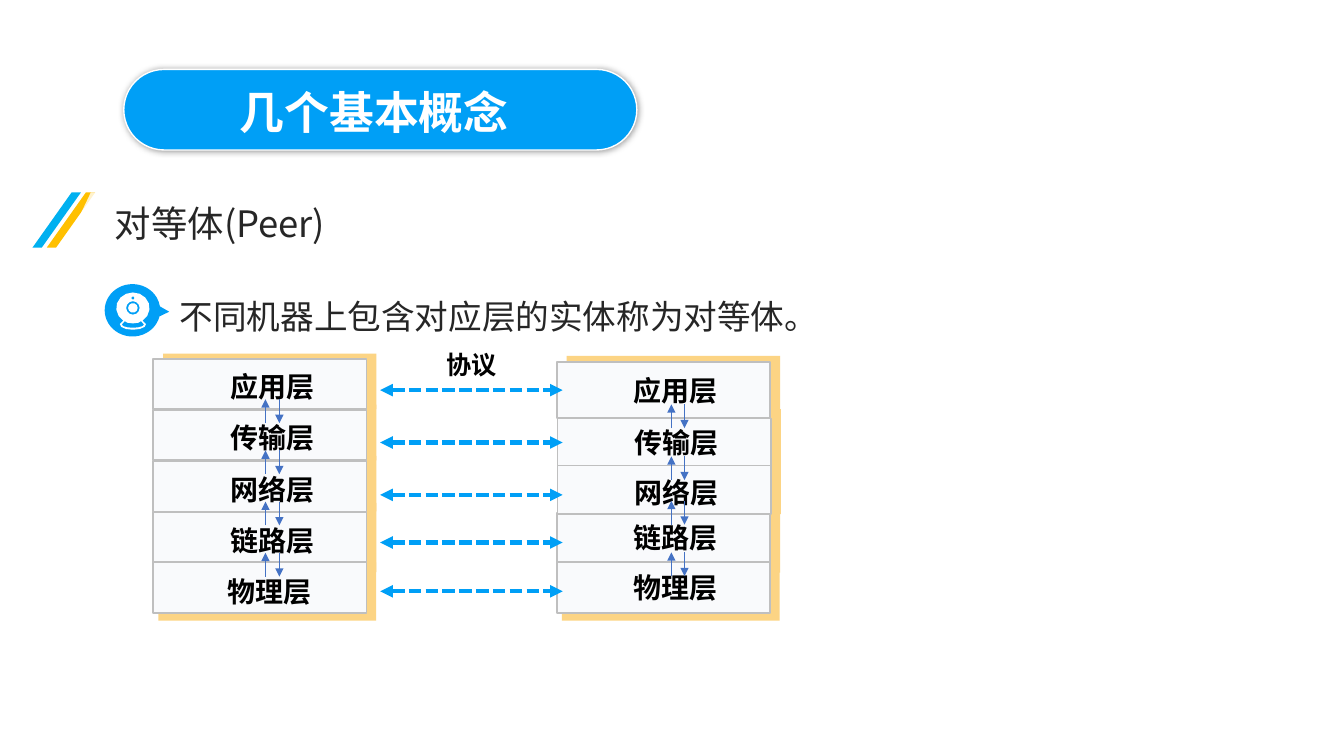
from math import cos, radians, sin

from lxml import etree
from pptx import Presentation
from pptx import util as u
from pptx.dml.color import RGBColor
from pptx.enum import dml, shapes, text
from pptx.oxml import ns

COLORS = {
    "blue": "009FF6",
    "sky": "00B0F0",
    "gold": "FFC000",
    "sand": "FCD484",
    "panel": "F9FAFC",
    "border": "BFBFBF",
    "thin": "4472C4",
    "dark": "262626",
    "black": "000000",
    "white": "FFFFFF",
}
SANS = "Noto Sans CJK SC"
SERIF = "Times New Roman"
SHAPE = shapes.MSO_SHAPE
FINE = 1000


def rgb(name):
    return RGBColor.from_string(COLORS[name])


def child(parent, tag, **attributes):
    return etree.SubElement(parent, ns.qn(tag), attributes)


def arc(x, y, rx, ry, start=0, end=360, steps=12):
    angles = [radians(start + (end - start) * i / steps) for i in range(steps + 1)]
    return [(x + rx * cos(a), y + ry * sin(a)) for a in angles]


class SlideBuilder:
    def __init__(self, slide):
        self.slide = slide

    def paint(self, shape, fill, line=None, width=1.25):
        shape.shadow.inherit = False
        shape.fill.solid()
        shape.fill.fore_color.rgb = rgb(fill)
        if line:
            shape.line.color.rgb = rgb(line)
            shape.line.width = u.Pt(width)
        else:
            shape.line.fill.background()
        return shape

    def shape(self, kind, box, fill, line=None, width=1.25, adjust=()):
        shape = self.slide.shapes.add_shape(kind, *map(u.Cm, box))
        for index, value in enumerate(adjust):
            shape.adjustments[index] = value
        return self.paint(shape, fill, line, width)

    def outline(self, contours, fill):
        contours = [[(x * FINE, y * FINE) for x, y in points] for points in contours]
        builder = self.slide.shapes.build_freeform(*contours[0][0], scale=u.Cm(1) / FINE)
        for index, points in enumerate(contours):
            if index:
                builder.move_to(*points[0])
            builder.add_line_segments(points[1:], close=True)
        return self.paint(builder.convert_to_shape(), fill)

    def glow(self, shape, blur, alpha):
        effects = shape._element.spPr.find(ns.qn("a:effectLst"))
        shadow = child(effects, "a:outerShdw", blurRad=str(u.Pt(blur)), dist="0", dir="0")
        color = child(shadow, "a:srgbClr", val=COLORS["black"])
        child(color, "a:alpha", val=str(alpha * 1000))

    def fade(self, shape, alpha):
        color = shape._element.spPr.find(".//" + ns.qn("a:srgbClr"))
        child(color, "a:alpha", val=str(alpha * 1000))

    def label(self, words, box, size, color="black", font=SERIF, bold=False,
              centered=False, spacing=None):
        frame = self.slide.shapes.add_textbox(*map(u.Cm, box)).text_frame
        frame.word_wrap = not centered
        paragraph = frame.paragraphs[0]
        if centered:
            paragraph.alignment = text.PP_ALIGN.CENTER
        if spacing:
            paragraph.line_spacing = spacing
        run = paragraph.add_run()
        run.text = words
        run.font.size = u.Pt(size)
        run.font.bold = bold
        run.font.color.rgb = rgb(color)
        run.font.name = font
        child(run._r.rPr, "a:ea", typeface=SANS)

    def arrow(self, x1, y1, x2, y2, color, width, both=False):
        ends = map(u.Cm, (x1, y1, x2, y2))
        connector = self.slide.shapes.add_connector(shapes.MSO_CONNECTOR.STRAIGHT, *ends)
        connector.line.color.rgb = rgb(color)
        connector.line.width = u.Pt(width)
        if both:
            connector.line.dash_style = dml.MSO_LINE.SQUARE_DOT
        line = connector.line._get_or_add_ln()
        if both:
            child(line, "a:headEnd", type="triangle")
        child(line, "a:tailEnd", type="triangle")
        child(connector._element.spPr, "a:effectLst")

    def layer(self, x, name, back, panel, words_y, back_dx=0.25, back_width=5.38,
              words_dx=1.66):
        self.shape(SHAPE.RECTANGLE, (x + back_dx, back[0], back_width, back[1]), "sand")
        self.shape(SHAPE.RECTANGLE, (x, panel[0], 5.38, panel[1]), "panel", "border")
        self.label(name, (x + words_dx, words_y, 2.69, 1.12), 20, bold=True, centered=True)


def draw_heading(builder):
    pill = builder.shape(SHAPE.ROUNDED_RECTANGLE, (3.12, 1.75, 12.93, 2.03),
                         "blue", "white", 1, [0.5])
    builder.glow(pill, 5, 40)
    builder.label("几个基本概念", (5.79, 2.02, 11.73, 1.63), 32, "white",
                  "Noto Sans CJK JP", bold=True)
    for x, color in ((0.82, "sky"), (1.18, "gold")):
        builder.shape(SHAPE.PARALLELOGRAM, (x, 4.85, 1.22, 1.39), color, adjust=[0.808])
    band = builder.outline([[(2.29, 4.85), (1.6, 6.3), (9.73, 6.3), (9.73, 4.85)]], "white")
    builder.fade(band, 80)
    builder.label("对等体(Peer)", (2.64, 4.95, 11.3, 1.37), 26, "dark", SANS)


def draw_definition(builder):
    builder.shape(SHAPE.OVAL_CALLOUT, (2.64, 7.16, 1.4, 1.32), "blue", adjust=[0.661, 0.028])
    x = 3.35
    head = arc(x, 7.76, 0.42, 0.39, 55, -235)
    base = arc(x, 8.18, 0.33, 0.13, 217, -37, 8)
    foot = arc(x, 8.18, 0.28, 0.08, 0, 180, 6) + arc(x, 8.08, 0.21, 0.07, 170, 10, 4)
    rings = [arc(x, y, r, r, steps=steps)
             for y, r, steps in ((7.76, 0.17, 12), (7.76, 0.12, 10), (7.51, 0.04, 6))]
    builder.outline([head + base, foot, *rings], "white")
    builder.label("不同机器上包含对应层的实体称为对等体。", (4.28, 6.83, 18.26, 1.8),
                  24, "dark", spacing=1.5)


def draw_stacks(builder):
    left, right = 3.86, 14.03
    builder.layer(right, "链路层", (12.73, 1.7), (12.93, 1.3), 13)
    builder.layer(left, "链路层", (12.67, 1.75), (12.9, 1.27), 13.07)
    for index, name in ((2, "网络层"), (1, "传输层"), (0, "应用层")):
        top = 9.04 + 1.29 * index
        builder.layer(left, name, (top - 0.13, 1.4), (top, 1.27), top + 0.15)
    builder.layer(right + 0.02, "网络层", (11.56, 1.4), (11.68, 1.27), 11.85)
    builder.layer(right + 0.02, "传输层", (10.31, 1.4), (10.46, 1.27), 10.6)
    builder.layer(right, "应用层", (8.97, 1.57), (9.12, 1.42), 9.28)
    for x, words_y, words_dx in ((left, 14.35, 1.58), (right, 14.25, 1.66)):
        builder.layer(x, "物理层", (14.17, 1.47), (14.17, 1.27), words_y,
                      0.13, 5.49, words_dx)


def draw_arrows(builder):
    builder.label("协议", (10.97, 8.69, 1.83, 1.02), 18, bold=True, centered=True)
    for y in (9.83, 11.15, 12.47, 13.67, 14.9):
        builder.arrow(9.58, y, 14.18, y, "blue", 3, both=True)
    left_tops = [10.06 + 1.29 * index for index in range(4)]
    right_tops = [10.19, 11.5, 12.62, 13.92]
    for down_x, up_x, tops in ((7.04, 6.69, left_tops), (17.25, 16.92, right_tops)):
        for top in tops:
            builder.arrow(down_x, top, down_x, top + 0.6, "thin", 0.5)
            builder.arrow(up_x, top + 0.6, up_x, top, "thin", 0.5)


def main():
    presentation = Presentation()
    presentation.slide_width = u.Cm(33.87)
    presentation.slide_height = u.Cm(19.05)
    builder = SlideBuilder(presentation.slides.add_slide(presentation.slide_layouts[6]))
    draw_heading(builder)
    draw_definition(builder)
    draw_stacks(builder)
    draw_arrows(builder)
    presentation.save("out.pptx")


if __name__ == "__main__":
    main()
